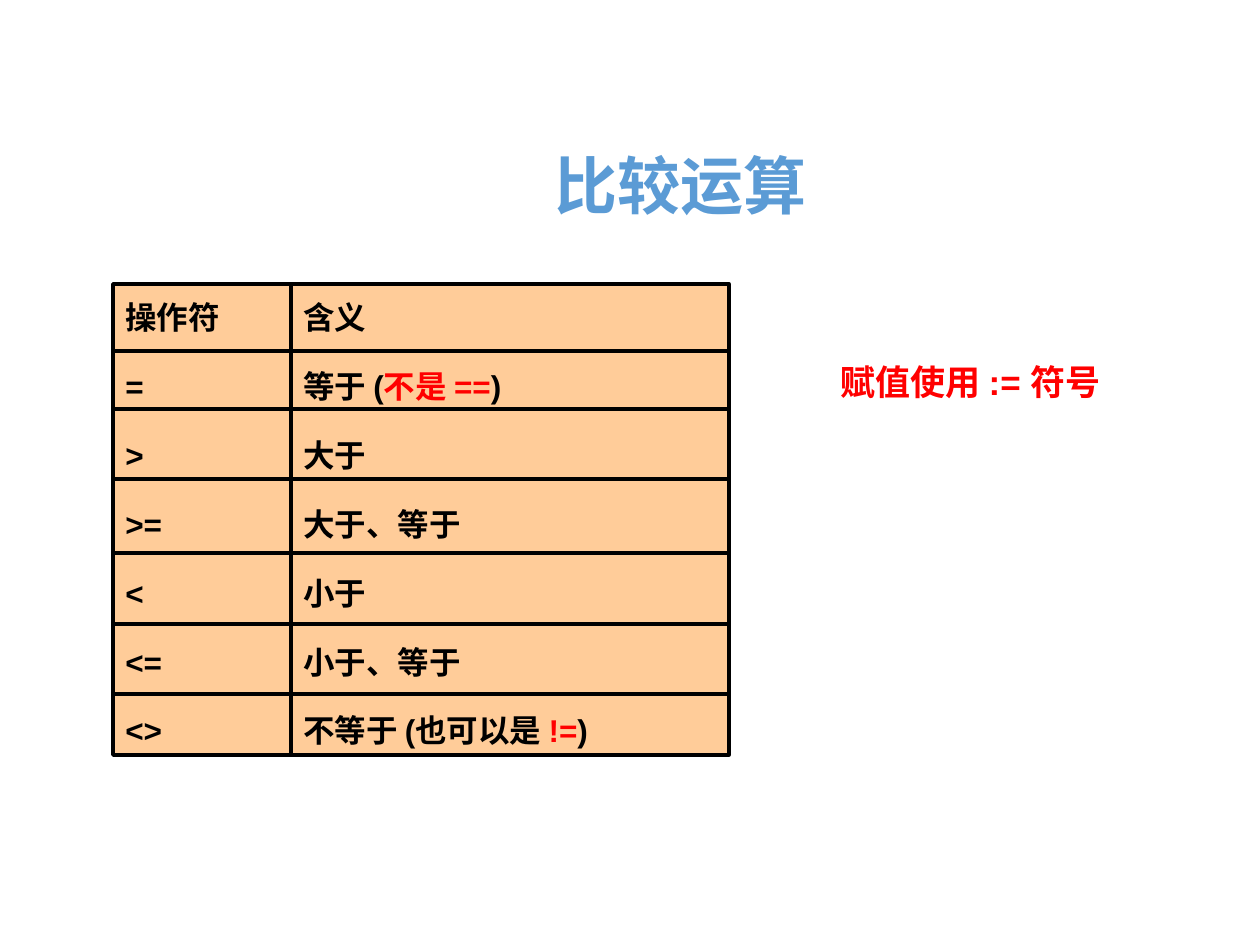
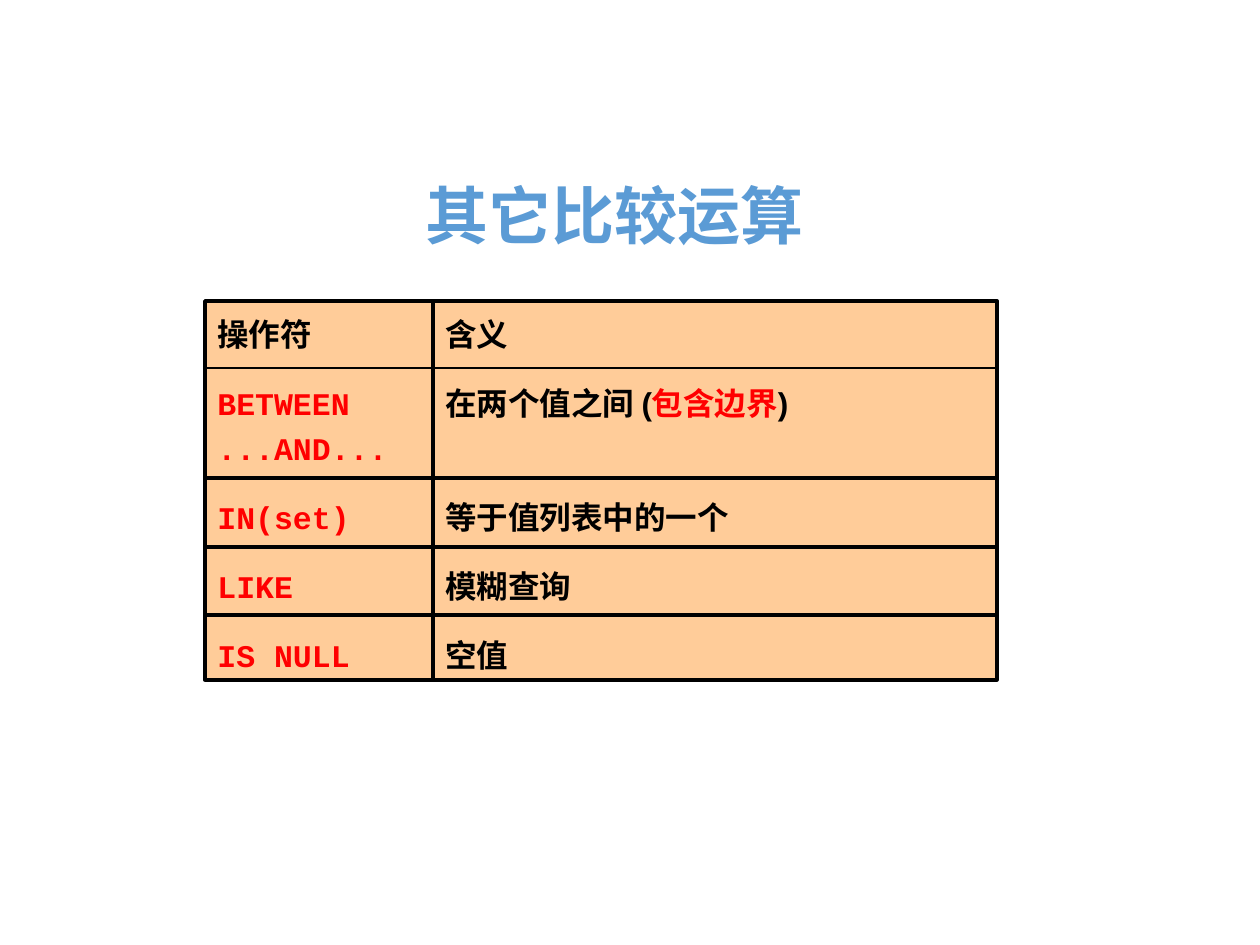
from lxml import etree
from pptx import Presentation
from pptx import util as u
from pptx.dml.color import RGBColor
from pptx.enum import shapes, text
from pptx.oxml.ns import qn

PX_PER_INCH = 126
TITLE_BLUE, PEACH, BLACK, RED = "5B9BD5", "FFCC99", "000000", "FF0000"
SANS, MONO, CJK = "Arial", "Courier New", "Noto Sans CJK SC"
LINE_SPACING = 1.2
ROW_GAP = 13.5
EXTRA_LINE = 25.7


def px(length):
    return u.Emu(round(length * u.Inches(1) / PX_PER_INCH))


def rgb(color):
    return RGBColor.from_string(color)


def format_run(run, size, color, font_name=SANS):
    run.font.size = u.Pt(size)
    run.font.bold = True
    run.font.name = font_name
    run.font.color.rgb = rgb(color)


def add_text(slide, box, content, size, color, font_name=SANS):
    """Add a one-paragraph text box and return its paragraph."""
    shape = slide.shapes.add_textbox(*map(px, box))
    shape.text_frame.word_wrap = True
    paragraph = shape.text_frame.paragraphs[0]
    paragraph.text = content
    format_run(paragraph.runs[0], size, color, font_name)
    return paragraph


def add_title(slide, box, content):
    paragraph = add_text(slide, box, content, 36, TITLE_BLUE, CJK)
    paragraph.alignment = text.PP_ALIGN.CENTER
    paragraph.line_spacing = LINE_SPACING


def fill_entry(paragraph, entry, accent_font):
    """Write an entry: parts between bars are red, and \\v breaks the line."""
    paragraph.line_spacing = LINE_SPACING
    paragraph.alignment = text.PP_ALIGN.LEFT
    for index, part in enumerate(entry.split("|")):
        color, font_name = (RED, accent_font) if index % 2 else (BLACK, SANS)
        if part == "\v":
            paragraph.add_line_break()
        elif part:
            run = paragraph.add_run()
            run.text = part
            format_run(run, 18, color, font_name)


def add_column(slide, box, entries, accent_font=SANS, tall_row=None):
    """Add a filled column; a one-line entry at tall_row takes two lines."""
    shape = slide.shapes.add_shape(shapes.MSO_SHAPE.RECTANGLE, *map(px, box))
    shape.shadow.inherit = False
    shape.fill.solid()
    shape.fill.fore_color.rgb = rgb(PEACH)
    shape.line.color.rgb = rgb(BLACK)
    shape.line.width = u.Pt(2)
    frame = shape.text_frame
    frame.word_wrap = True
    frame.vertical_anchor = text.MSO_ANCHOR.TOP
    for index, entry in enumerate(entries):
        paragraph = frame.add_paragraph() if index else frame.paragraphs[0]
        if index:
            follows_tall = tall_row is not None and index == tall_row + 1
            paragraph.space_before = u.Pt(ROW_GAP + EXTRA_LINE * follows_tall)
        fill_entry(paragraph, entry, accent_font)


def add_rule(slide, left, right, y, weight):
    rule = slide.shapes.add_connector(
        shapes.MSO_CONNECTOR.STRAIGHT, px(left), px(y), px(right), px(y))
    rule.line.color.rgb = rgb(BLACK)
    rule.line.width = u.Pt(weight)
    etree.SubElement(rule._element.spPr, qn("a:effectLst"))


def add_operator_grid(slide, box, operator_width, operators, meanings, rules,
                      header_weight, operator_font=SANS, tall_row=None):
    """Two columns of entries, with rules at offsets from the box's top."""
    left, top, width, height = box
    add_column(slide, (left, top, operator_width, height), operators, operator_font)
    add_column(slide, (left + operator_width, top, width - operator_width, height),
               meanings, tall_row=tall_row)
    for index, offset in enumerate(rules):
        add_rule(slide, left, left + width, top + offset, 2 if index else header_weight)


def build_comparison(slide):
    add_title(slide, (154, 125, 1053, 198), "比较运算")
    add_operator_grid(
        slide, (113, 284, 616, 471), 178,
        ["操作符", "=", ">", ">=", "<", "<=", "<>"],
        ["含义", "等于 (|不是 ==|)", "大于", "大于、等于", "小于", "小于、等于",
         "不等于 (也可以是 |!=|)"],
        [67, 125, 195, 269, 340, 410], 2.25)
    add_text(slide, (828, 354, 307, 55), "赋值使用 := 符号", 20, RED)


def build_other_comparison(slide):
    add_title(slide, (84, 155, 1061, 198), "其它比较运算")
    add_operator_grid(
        slide, (205, 301, 792, 379), 228,
        ["操作符", "|BETWEEN|\v|...AND...|", "|IN(set)|", "|LIKE|", "|IS NULL|"],
        ["含义", "在两个值之间 (|包含边界|)", "等于值列表中的一个", "模糊查询", "空值"],
        [67, 177, 246, 314], 1.5, operator_font=MONO, tall_row=1)


def main():
    presentation = Presentation()
    presentation.slide_width = u.Inches(10)
    presentation.slide_height = u.Inches(7.5)
    for build in (build_comparison, build_other_comparison):
        build(presentation.slides.add_slide(presentation.slide_layouts[6]))
    presentation.save("out.pptx")


if __name__ == "__main__":
    main()
